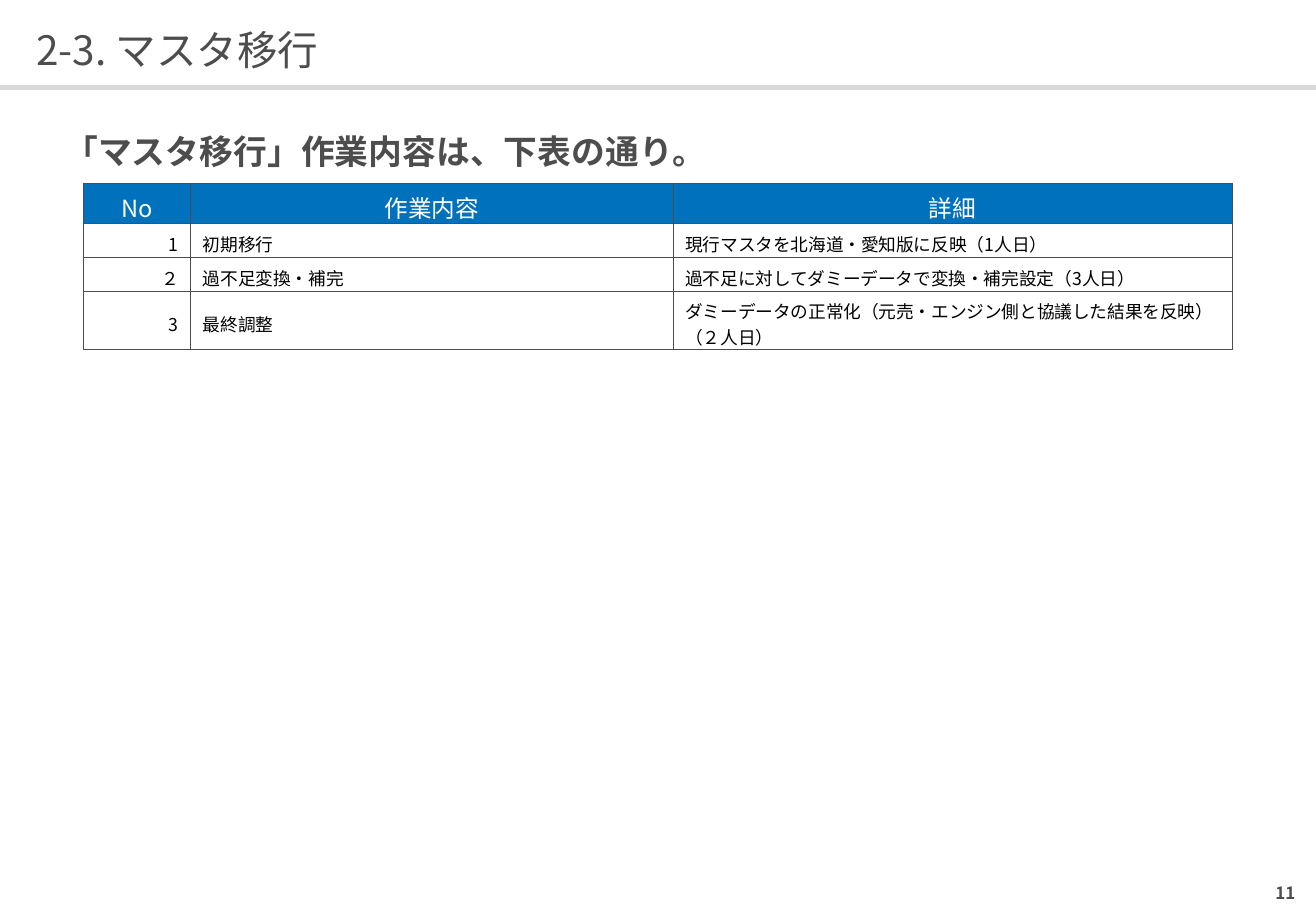
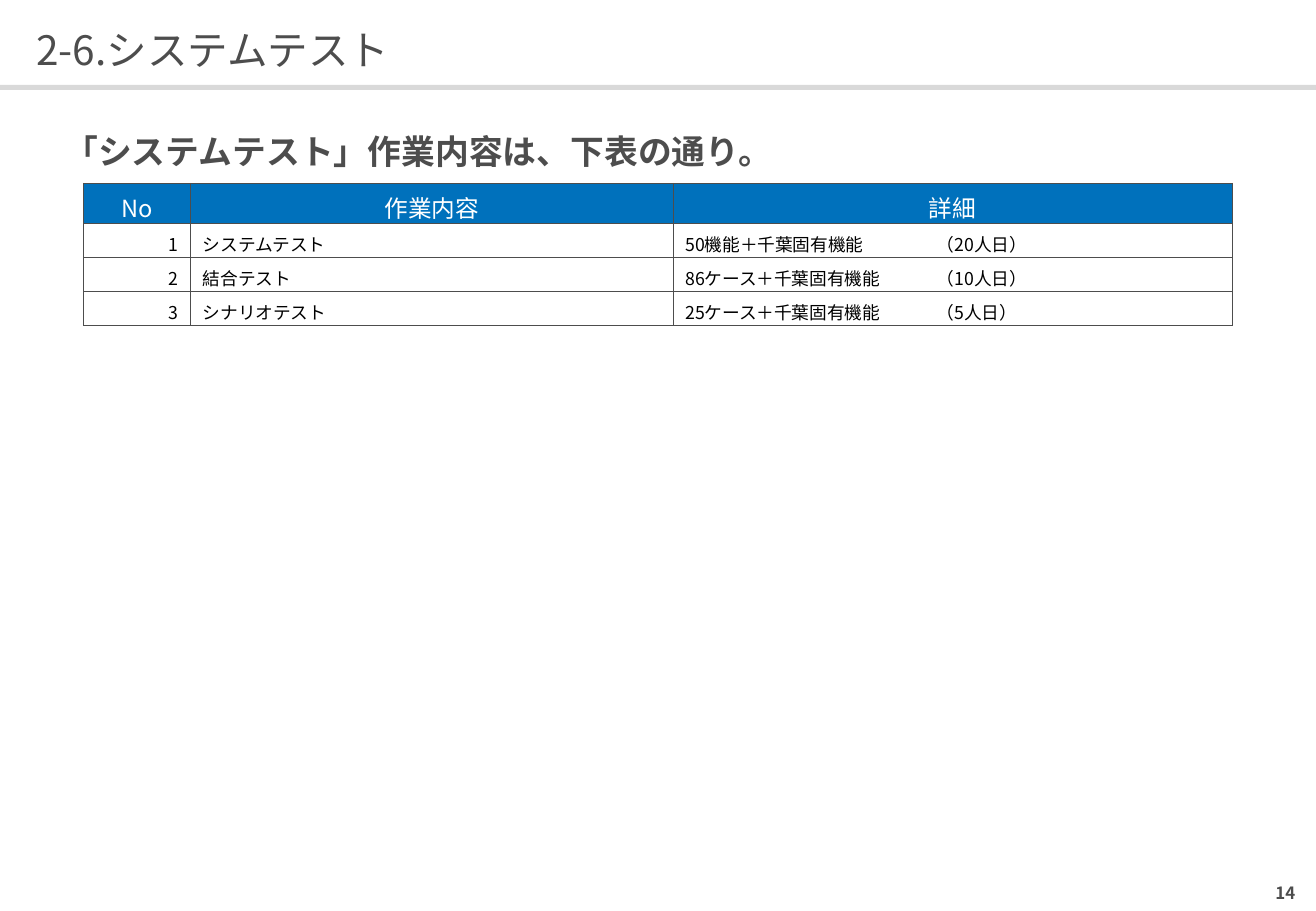
from dataclasses import dataclass
from typing import Optional

from lxml.etree import SubElement
from pptx import Presentation
from pptx.dml.color import RGBColor
from pptx.enum.shapes import MSO_SHAPE
from pptx.enum.text import MSO_ANCHOR, MSO_AUTO_SIZE, PP_ALIGN
from pptx.oxml import parse_xml
from pptx.oxml.ns import nsdecls, qn
from pptx.util import Inches, Pt

FONT = "Noto Sans CJK JP"
COLORS = {
    "text": "4D4D4D",
    "band": "D9D9D9",
    "header": "0071BC",
    "white": "FFFFFF",
    "black": "000000",
}
HEADERS = ("No", "作業内容", "詳細")
COLUMN_WIDTHS = (0.88, 3.97, 4.6)
COLUMN_ALIGNS = (PP_ALIGN.RIGHT, PP_ALIGN.LEFT, PP_ALIGN.LEFT)
HEADER_HEIGHT = 0.33
ROW_HEIGHT = 0.28
EFFORT_TAB = 2.07


@dataclass(frozen=True)
class Task:
    number: str
    name: str
    detail: str
    height: float = ROW_HEIGHT


@dataclass(frozen=True)
class TaskPage:
    number: int
    title: str
    heading: str
    tasks: tuple[Task, ...]


PAGES = (
    TaskPage(11, "2-3. マスタ移行", "「マスタ移行」作業内容は、下表の通り。", (
        Task("1", "初期移行", "現行マスタを北海道・愛知版に反映（1人日）"),
        Task("２", "過不足変換・補完", "過不足に対してダミーデータで変換・補完設定（3人日）"),
        Task("3", "最終調整",
             "ダミーデータの正常化（元売・エンジン側と協議した結果を反映）（２人日）", 0.45),
    )),
    TaskPage(14, "2-6.システムテスト", "「システムテスト」作業内容は、下表の通り。", (
        Task("1", "システムテスト", "50機能＋千葉固有機能\t（20人日）"),
        Task("2", "結合テスト", "86ケース＋千葉固有機能\t（10人日）"),
        Task("3", "シナリオテスト", "25ケース＋千葉固有機能\t（5人日）"),
    )),
)


def write(frame, text: str, *, size: float, color: str = "text", bold: bool = False,
          align=PP_ALIGN.LEFT, line_spacing=None, space_after=None,
          tab: Optional[float] = None) -> None:
    """Fill a text frame with one formatted paragraph."""
    para = frame.paragraphs[0]
    para.alignment = align
    if line_spacing is not None:
        para.line_spacing = line_spacing
    if space_after is not None:
        para.space_after = space_after
    if tab is not None:
        tabs = SubElement(para._p.get_or_add_pPr(), qn("a:tabLst"))
        SubElement(tabs, qn("a:tab"), pos=str(Inches(tab)), algn="l")
    span = para.add_run()
    span.text = text
    span.font.size = Pt(size)
    span.font.bold = bold
    span.font.color.rgb = RGBColor.from_string(COLORS[color])
    span.font.name = FONT
    SubElement(span._r.get_or_add_rPr(), qn("a:ea"), typeface=FONT)


def prepare_frame(box, anchor) -> None:
    """Remove the insets and set wrapping and anchoring."""
    frame = box.text_frame
    frame.margin_left = frame.margin_right = frame.margin_top = frame.margin_bottom = 0
    frame.word_wrap = True
    frame.auto_size = MSO_AUTO_SIZE.NONE
    frame.vertical_anchor = anchor


def add_text(page, text: str, left: float, top: float, width: float, height: float,
             *, anchor=MSO_ANCHOR.TOP, **text_format) -> None:
    box = page.shapes.add_textbox(Inches(left), Inches(top), Inches(width), Inches(height))
    prepare_frame(box, anchor)
    write(box.text_frame, text, **text_format)


def add_frame(page, title: str, number: int) -> None:
    """Draw the band, title and page number shared by all pages."""
    band = page.shapes.add_shape(
        MSO_SHAPE.RECTANGLE, 0, Inches(0.7), Inches(10.83), Inches(0.04))
    band.shadow.inherit = False
    band.fill.solid()
    band.fill.fore_color.rgb = RGBColor.from_string(COLORS["band"])
    band.line.fill.background()

    box = page.shapes.title
    box.left, box.top = Inches(0.3), Inches(0.17)
    box.width, box.height = Inches(10.24), Inches(0.43)
    prepare_frame(box, MSO_ANCHOR.MIDDLE)
    write(box.text_frame, title, size=24, line_spacing=1.1)

    add_text(page, str(number), 8.13, 7.21, 2.53, 0.28, anchor=MSO_ANCHOR.MIDDLE,
             size=10, bold=True, align=PP_ALIGN.RIGHT)


def style_cell(cell, fill: str) -> None:
    """Set the fill, margins and thin borders of a cell."""
    cell.fill.solid()
    cell.fill.fore_color.rgb = RGBColor.from_string(COLORS[fill])
    cell.vertical_anchor = MSO_ANCHOR.MIDDLE
    cell.margin_top, cell.margin_bottom = Inches(0.05), 0
    properties = cell._tc.get_or_add_tcPr()
    for index, side in enumerate(("lnL", "lnR", "lnT", "lnB")):
        properties.insert(index, parse_xml(
            f'<a:{side} {nsdecls("a")} w="{Pt(0.75)}"><a:solidFill>'
            f'<a:srgbClr val="{COLORS["text"]}"/></a:solidFill></a:{side}>'))


def add_task_table(page, tasks: tuple[Task, ...]) -> None:
    heights = [HEADER_HEIGHT] + [task.height for task in tasks]
    table = page.shapes.add_table(
        len(heights), len(HEADERS), Inches(0.69), Inches(1.51),
        Inches(sum(COLUMN_WIDTHS)), Inches(sum(heights))).table
    table.first_row = table.horz_banding = False
    for column, width in zip(table.columns, COLUMN_WIDTHS):
        column.width = Inches(width)
    for row, height in zip(table.rows, heights):
        row.height = Inches(height)

    # Header row
    for column, text in enumerate(HEADERS):
        cell = table.cell(0, column)
        style_cell(cell, "header")
        write(cell.text_frame, text, size=14, color="white", align=PP_ALIGN.CENTER)

    # Task rows
    for row, task in enumerate(tasks, start=1):
        for column, text in enumerate((task.number, task.name, task.detail)):
            cell = table.cell(row, column)
            style_cell(cell, "white")
            write(cell.text_frame, text, size=10.5, color="black",
                  align=COLUMN_ALIGNS[column],
                  tab=EFFORT_TAB if "\t" in text else None)


def main() -> None:
    deck = Presentation()
    deck.slide_width, deck.slide_height = Inches(10.83), Inches(7.5)
    for content in PAGES:
        page = deck.slides.add_slide(deck.slide_layouts[5])
        add_frame(page, content.title, content.number)
        add_text(page, content.heading, 0.53, 0.99, 9.61, 0.4, size=20, bold=True,
                 align=PP_ALIGN.JUSTIFY, line_spacing=Pt(30), space_after=Pt(12))
        add_task_table(page, content.tasks)
    deck.save("out.pptx")


if __name__ == "__main__":
    main()
